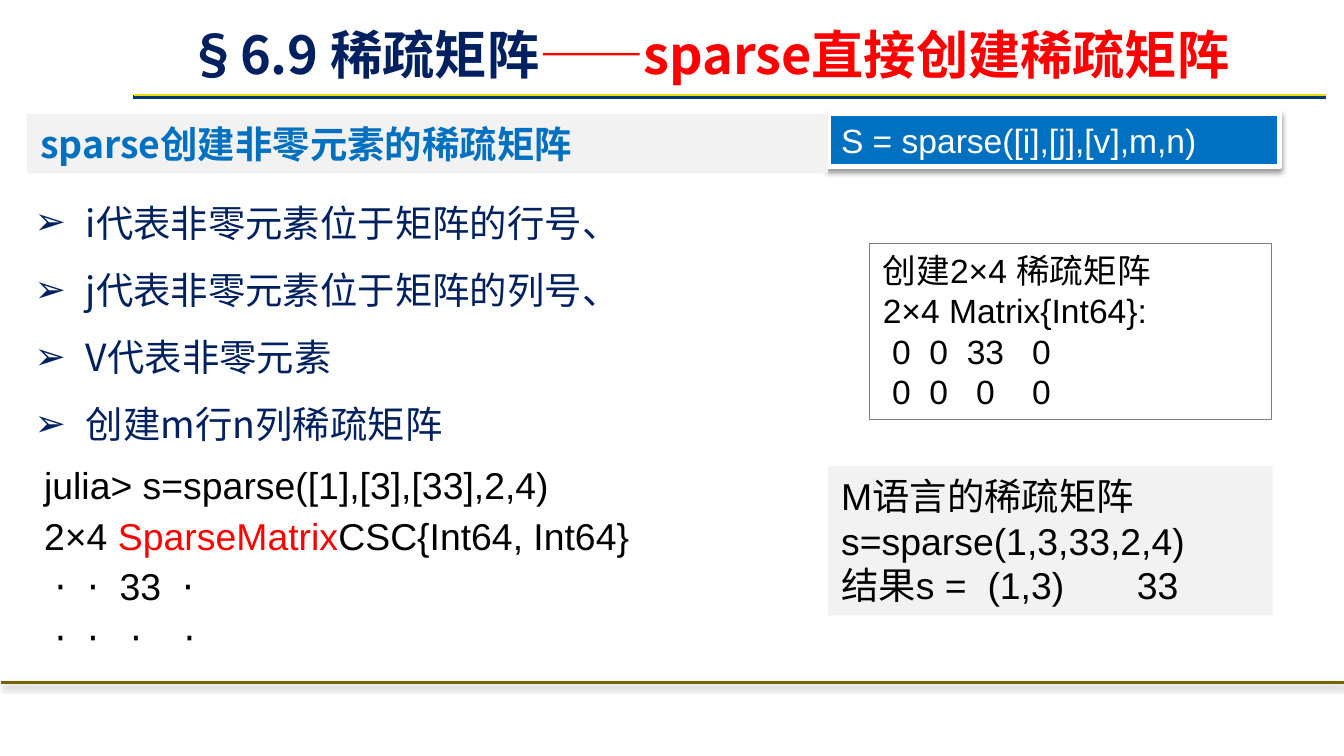
import pptx
import pptx.dml.color
import pptx.enum.shapes
import pptx.enum.text
import pptx.oxml.ns
import pptx.util
from lxml import etree

Inches, Pt = pptx.util.Inches, pptx.util.Pt
ALIGN, ANCHOR = pptx.enum.text.PP_ALIGN, pptx.enum.text.MSO_ANCHOR
SANS, CJK = "Arial", "Noto Sans CJK SC"
COLORS = {"navy": "002060", "blue": "0070C0", "red": "FF0000", "black": "000000",
          "white": "FFFFFF", "pale": "F2F2F2", "gray": "808080",
          "rule": "003B76", "yellow": "F0DA04", "olive": "736303"}


def rgb(name):
    return pptx.dml.color.RGBColor.from_string(COLORS[name])


def sub(parent, tag, **attrs):
    el = etree.SubElement(parent, pptx.oxml.ns.qn(tag))
    for key, value in attrs.items():
        el.set(key, str(value))
    return el


def add_shadow(effects, opacity, distance):
    """Put a soft downward shadow in an effect list; distance is in points."""
    shadow = sub(effects, "a:outerShdw", blurRad=Pt(3.1), dist=Pt(distance),
                 dir=90 * 60000, algn="t", rotWithShape=0)
    sub(sub(shadow, "a:srgbClr", val=COLORS["black"]), "a:alpha", val=opacity * 1000)


def add_line(s, x1, x2, y, color, width):
    """Draw a horizontal rule and return its empty effect list."""
    line = s.shapes.add_connector(pptx.enum.shapes.MSO_CONNECTOR.STRAIGHT,
                                  Inches(x1), Inches(y), Inches(x2), Inches(y))
    line.line.color.rgb = rgb(color)
    line.line.width = Pt(width)
    return sub(line._element.spPr, "a:effectLst")


def add_box(s, box, fill=None, line=None, width=0.75):
    sp = s.shapes.add_shape(pptx.enum.shapes.MSO_SHAPE.RECTANGLE, *map(Inches, box))
    sp.shadow.inherit = False
    if fill:
        sp.fill.solid()
        sp.fill.fore_color.rgb = rgb(fill)
    else:
        sp.fill.background()
    if line:
        sp.line.color.rgb = rgb(line)
        sp.line.width = Pt(width)
    else:
        sp.line.fill.background()
    return sp


def add_text_box(s, box):
    return s.shapes.add_textbox(*map(Inches, box))


def write(sp, lines, size, font=SANS, color="black", bold=False, align=ALIGN.LEFT,
          spacing=None, anchor=ANCHOR.TOP, bullet=None):
    """Fill a shape; a line is a string or a list of (text, color) runs."""
    tf = sp.text_frame
    tf.word_wrap = True
    tf.vertical_anchor = anchor
    for i, line in enumerate(lines):
        p = tf.paragraphs[0] if i == 0 else tf.add_paragraph()
        p.alignment = align
        if spacing:
            p.line_spacing = spacing
        if bullet:
            pPr = p._p.get_or_add_pPr()
            pPr.set("marL", str(Inches(0.38)))
            pPr.set("indent", str(Inches(-0.38)))
            sub(pPr, "a:buFont", typeface=SANS)
            sub(pPr, "a:buChar", char=bullet)
        p.font.name, p.font.size, p.font.bold = font, Pt(size), bold
        if isinstance(line, str):
            p.font.color.rgb = rgb(color)
            line = [(line, None)]
        for text, run_color in line:
            r = p.add_run()
            r.text = text
            if run_color:
                r.font.color.rgb = rgb(run_color)
        if font == CJK:
            sub(p._p.pPr.find(pptx.oxml.ns.qn("a:defRPr")), "a:ea", typeface=font)


def draw_rules(s):
    add_line(s, 0.99, 9.87, 0.72, "rule", 2.25)
    add_line(s, 1, 9.87, 0.71, "yellow", 1)
    add_shadow(add_line(s, 0.01, 10.01, 5.08, "olive", 1.5), 35, 1.8)


def draw_title(s, box):
    runs = [("§6.9 稀疏矩阵", "navy"), ("——sparse直接创建稀疏矩阵", "red")]
    write(add_text_box(s, box), [runs], 28, CJK, bold=True, spacing=0.85,
          anchor=ANCHOR.BOTTOM)


def draw_heading(s, box):
    """Draw the syntax label and the topic strip that ends at its left edge."""
    x, y, w, h = box
    strip = 5.96
    label = add_box(s, (x + strip, y - 0.01, w - strip, 0.4), "blue", "white", 3)
    add_shadow(label._element.spPr.find(pptx.oxml.ns.qn("a:effectLst")), 38, 1.6)
    write(label, ["S = sparse([i],[j],[v],m,n)"], 18, color="white", align=ALIGN.JUSTIFY)
    write(add_box(s, (x, y, strip, h), "pale"), ["sparse创建非零元素的稀疏矩阵"],
          20, CJK, "blue", bold=True, align=ALIGN.JUSTIFY)


def draw_arguments(s, box):
    lines = ["i代表非零元素位于矩阵的行号、", "j代表非零元素位于矩阵的列号、",
             "V代表非零元素", "创建m行n列稀疏矩阵"]
    write(add_text_box(s, box), lines, 20, CJK, "navy", align=ALIGN.JUSTIFY,
          spacing=Pt(36), bullet="➢")


def draw_julia_session(s, box):
    lines = ["julia> s=sparse([1],[3],[33],2,4)",
             [("2×4 ", "black"), ("SparseMatrix", "red"), ("CSC{Int64, Int64}", "black")],
             " ⋅  ⋅  33  ⋅",
             " ⋅  ⋅   ⋅    ⋅"]
    write(add_text_box(s, box), lines, 20, spacing=Pt(27))


def draw_dense_matrix(s, box):
    lines = ["创建2×4 稀疏矩阵", "2×4 Matrix{Int64}:", " 0  0  33   0", " 0  0   0    0"]
    write(add_box(s, box, line="gray"), lines, 18)


def draw_m_language(s, box):
    lines = ["M语言的稀疏矩阵", "s=sparse(1,3,33,2,4)", "结果s =  (1,3)       33"]
    write(add_box(s, box, "pale"), lines, 20)


def main():
    prs = pptx.Presentation()
    prs.slide_width = Inches(10)
    prs.slide_height = prs.slide_width * 9 // 16
    s = prs.slides.add_slide(prs.slide_layouts[6])
    draw_rules(s)
    draw_heading(s, (0.2, 0.85, 9.32, 0.44))
    draw_title(s, (1.3, 0.17, 8.39, 0.51))
    draw_arguments(s, (0.16, 1.27, 6.81, 2.08))
    draw_julia_session(s, (0.23, 3.35, 6.11, 1.58))
    draw_dense_matrix(s, (6.47, 1.81, 2.99, 1.31))
    draw_m_language(s, (6.16, 3.47, 3.31, 1.11))
    prs.save("out.pptx")


if __name__ == "__main__":
    main()
